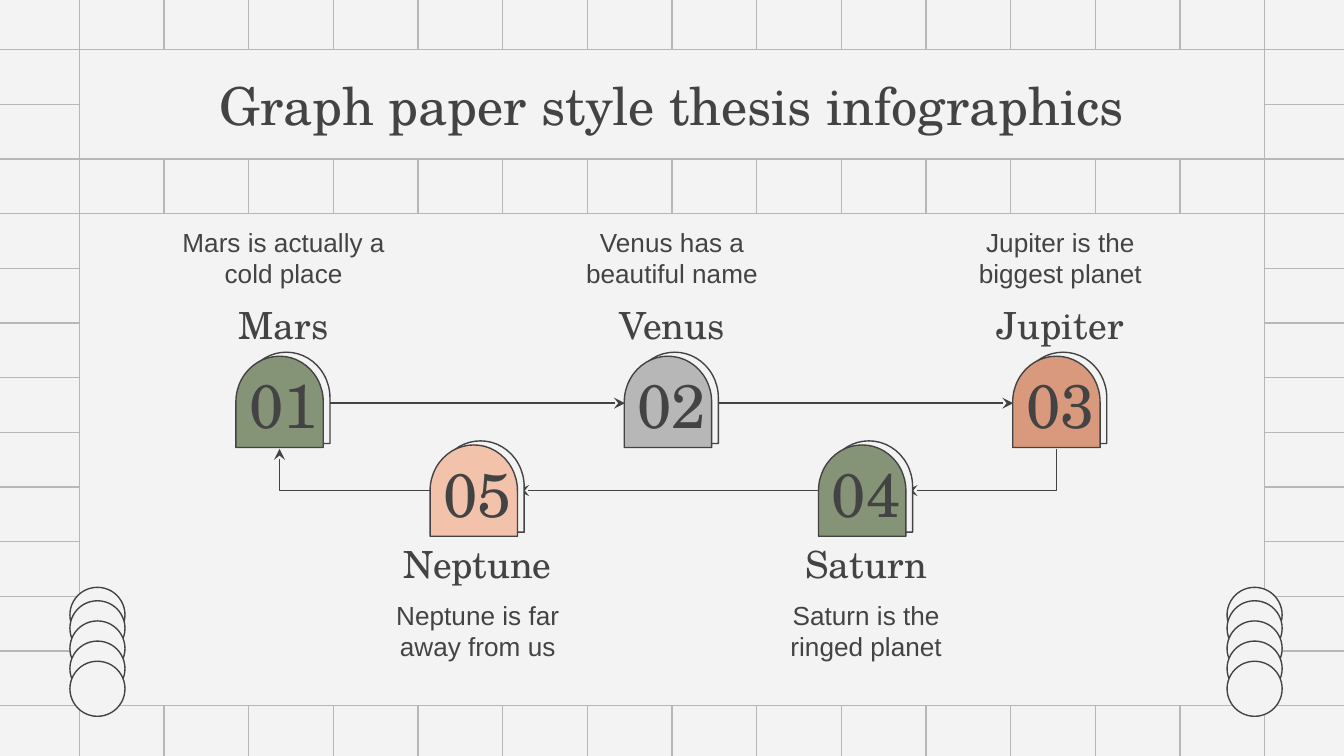
from lxml.etree import SubElement
from pptx import Presentation
from pptx.dml.color import RGBColor
from pptx.enum.shapes import MSO_CONNECTOR as CONN, MSO_SHAPE as SHAPE
from pptx.enum.text import MSO_ANCHOR as ANCHOR, MSO_AUTO_SIZE as AUTO, PP_ALIGN as ALIGN
from pptx.oxml.ns import qn
from pptx.util import Inches, Pt

PAPER = RGBColor(0xF3, 0xF3, 0xF3)
GRID = RGBColor(0xB7, 0xB7, 0xB7)
INK = RGBColor(0x43, 0x43, 0x43)
GREEN = RGBColor(0x85, 0x94, 0x77)
TERRACOTTA = RGBColor(0xD9, 0x99, 0x7D)
PEACH = RGBColor(0xF2, 0xC2, 0xAB)
SERIF, SANS = "TeX Gyre Schola", "Arial"

W = 10
H = W * 9 / 16
MARGIN = 0.04
GRID_LEFT, GRID_RIGHT, GRID_COLS = 0.59, 9.41, 14
GRID_TOP, GRID_BOTTOM, GRID_ROWS = 0.37, 5.25, 12

STEP = 2.89 / 2          # between neighbouring planet columns
ARCH_W, ARCH_H = 0.65, 0.68
ARCH_SHIFT = -0.03       # arch centre relative to its column
UPPER = dict(arch=2.65, name=2.15, note=1.59, name_anchor=ANCHOR.TOP, note_anchor=ANCHOR.BOTTOM)
LOWER = dict(arch=3.31, name=4.0, note=4.36, name_anchor=ANCHOR.BOTTOM, note_anchor=ANCHOR.TOP)
UPPER_LINE, LOWER_LINE = 3.0, 3.65

PLANETS = [
    (0, UPPER, "01", "Mars", "Mars is actually a cold place", GREEN),
    (2, UPPER, "02", "Venus", "Venus has a beautiful name", GRID),
    (4, UPPER, "03", "Jupiter", "Jupiter is the biggest planet", TERRACOTTA),
    (1, LOWER, "05", "Neptune", "Neptune is far away from us", PEACH),
    (3, LOWER, "04", "Saturn", "Saturn is the ringed planet", GREEN),
]


def column(n):
    """Centre of planet column n, 0 to 4."""
    return W / 2 + (n - 2) * STEP


def grid_x(n):
    return GRID_LEFT + n * (GRID_RIGHT - GRID_LEFT) / GRID_COLS


def grid_y(n):
    return GRID_TOP + n * (GRID_BOTTOM - GRID_TOP) / GRID_ROWS


def paint(sp, fill, line):
    sp.fill.solid()
    sp.fill.fore_color.rgb = fill
    sp.line.color.rgb = line
    sp.line.width = Pt(0.75)


def add_shape(slide, kind, x, y, w, h, fill, line=INK):
    sp = slide.shapes.add_shape(kind, Inches(x), Inches(y), Inches(w), Inches(h))
    sp.shadow.inherit = False
    paint(sp, fill, line)
    return sp


def add_line(slide, start, end, color, kind=CONN.STRAIGHT):
    line = slide.shapes.add_connector(kind, *(Inches(v) for v in (*start, *end)))
    line.line.color.rgb = color
    line.line.width = Pt(0.75)
    SubElement(line._element.spPr, qn("a:effectLst"))
    return line


def add_arrow(slide, start, end, kind=CONN.STRAIGHT):
    arrow = add_line(slide, start, end, INK, kind)
    SubElement(arrow.line._get_or_add_ln(), qn("a:tailEnd"), type="stealth")
    return arrow


def add_corner_arrow(slide, start, end, down_first=False):
    """Arrow with one right-angled turn; down_first leaves downwards and turns left."""
    if down_first:
        cx, cy = (start[0] + end[0]) / 2, (start[1] + end[1]) / 2
        half_w, half_h = abs(end[1] - start[1]) / 2, abs(end[0] - start[0]) / 2
        start, end = (cx - half_w, cy - half_h), (cx + half_w, cy + half_h)
    arrow = add_arrow(slide, start, end, CONN.ELBOW)
    spPr = arrow._element.spPr
    spPr.find(qn("a:prstGeom")).set("prst", "bentConnector2")
    if down_first:
        spPr.find(qn("a:xfrm")).set("rot", str(90 * 60000))


def write(sp, text, size, font, anchor):
    tf = sp.text_frame
    tf.word_wrap = True
    tf.auto_size = AUTO.NONE
    tf.vertical_anchor = anchor
    tf.margin_left = tf.margin_right = tf.margin_top = tf.margin_bottom = Inches(0.1)
    p = tf.paragraphs[0]
    p.text = text
    p.alignment = ALIGN.CENTER
    p.font.size, p.font.name, p.font.color.rgb = Pt(size), font, INK


def add_text(slide, cx, y, w, h, *style):
    sp = slide.shapes.add_textbox(Inches(cx - w / 2), Inches(y), Inches(w), Inches(h))
    write(sp, *style)


def add_arch(slide, cx, y, fill):
    """Upright arch: a delay shape turned so that its round end is on top."""
    x, y = cx - ARCH_H / 2, y + (ARCH_H - ARCH_W) / 2
    add_shape(slide, SHAPE.FLOWCHART_DELAY, x, y, ARCH_H, ARCH_W, fill).rotation = 270


def add_graph_paper(slide):
    for n in range(GRID_COLS + 1):
        add_line(slide, (grid_x(n), -MARGIN), (grid_x(n), H + MARGIN), GRID)
    for n in range(GRID_ROWS + 1):
        add_line(slide, (-MARGIN, grid_y(n)), (W + MARGIN, grid_y(n)), GRID)
    add_shape(slide, SHAPE.RECTANGLE, GRID_LEFT, grid_y(3), GRID_RIGHT - GRID_LEFT,
              GRID_BOTTOM - grid_y(3), PAPER, GRID)


def add_title(slide, text):
    title = slide.shapes.title
    title.left, title.top = Inches(GRID_LEFT), Inches(GRID_TOP)
    title.width, title.height = Inches(GRID_RIGHT - GRID_LEFT), Inches(grid_y(2) - GRID_TOP)
    paint(title, PAPER, GRID)
    write(title, text, 28, SERIF, ANCHOR.MIDDLE)
    slide.shapes._spTree.append(title._element)  # in front of the graph paper


def add_cycle(slide):
    def right(n):
        return column(n) + 0.3

    def left(n):
        return column(n) - 0.35

    def foot(n):
        return column(n) + ARCH_SHIFT, UPPER["arch"] + ARCH_H + 0.01

    for n in (0, 2):
        add_arrow(slide, (right(n), UPPER_LINE), (left(n + 2), UPPER_LINE))
    add_corner_arrow(slide, foot(4), (right(3), LOWER_LINE), down_first=True)
    add_arrow(slide, (left(3), LOWER_LINE), (right(1), LOWER_LINE))
    add_corner_arrow(slide, (left(1), LOWER_LINE), foot(0))


def add_planet(slide, col, row, number, name, note, color):
    cx = column(col)
    add_arch(slide, cx + 0.02, row["arch"] - 0.03, PAPER)
    add_arch(slide, cx + ARCH_SHIFT, row["arch"], color)
    add_text(slide, cx, row["arch"] + 0.09, 0.9, 0.53, number, 33, SERIF, ANCHOR.MIDDLE)
    add_text(slide, cx, row["name"], 1.85, 0.46, name, 20, SERIF, row["name_anchor"])
    add_text(slide, cx, row["note"], 1.85, 0.66, note, 14, SANS, row["note_anchor"])


def add_circle_stack(slide, x):
    for y in (4.37, 4.47, 4.62, 4.77, 4.92):
        add_shape(slide, SHAPE.OVAL, x, y, 0.41, 0.41, PAPER)


def main():
    prs = Presentation()
    prs.slide_width, prs.slide_height = Inches(W), Inches(H)
    slide = prs.slides.add_slide(prs.slide_layouts[5])
    slide.background.fill.solid()
    slide.background.fill.fore_color.rgb = PAPER

    add_graph_paper(slide)
    add_title(slide, "Graph paper style thesis infographics")
    add_cycle(slide)
    for planet in PLANETS:
        add_planet(slide, *planet)
    for x in (0.52, 9.13):
        add_circle_stack(slide, x)
    prs.save("out.pptx")


if __name__ == "__main__":
    main()
